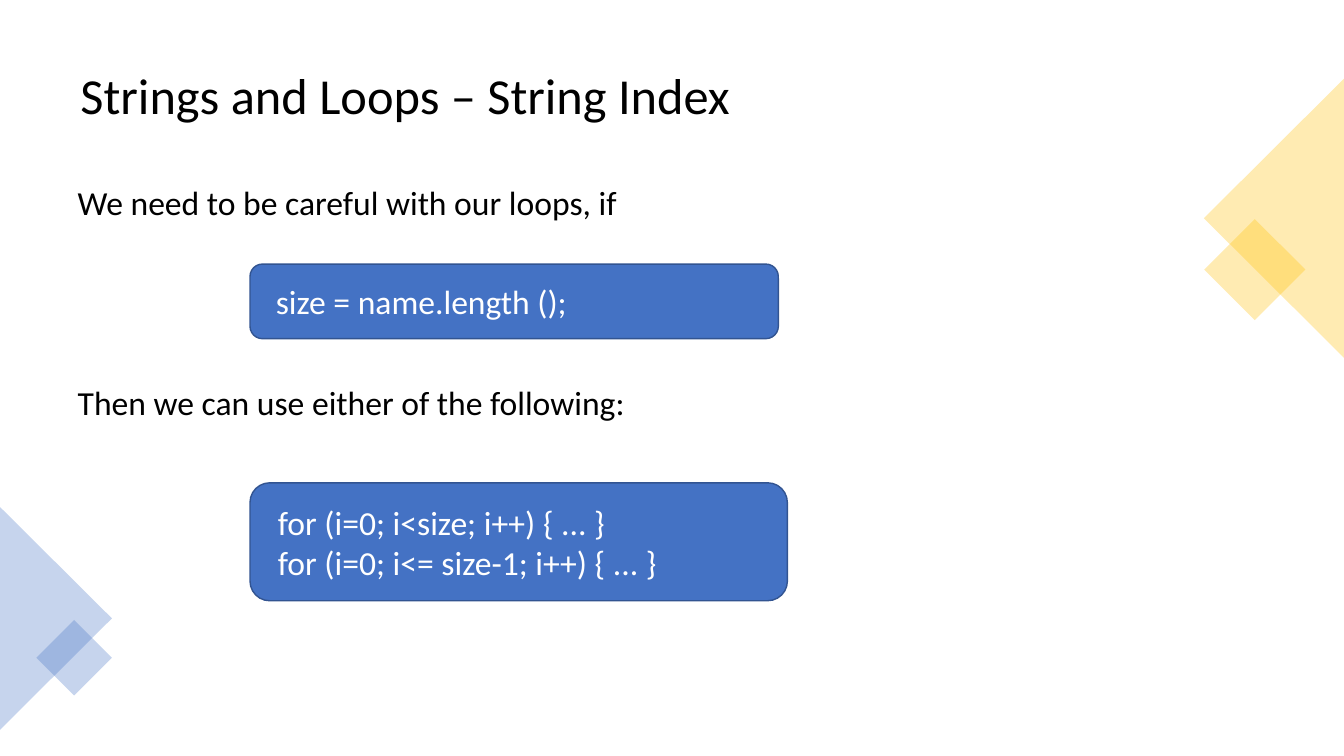
from dataclasses import dataclass

from lxml import etree
from pptx import Presentation
from pptx.dml.color import RGBColor
from pptx.enum import shapes, text
from pptx.oxml.ns import qn
from pptx.util import Inches, Pt

FONT = "Calibri"
BLACK, WHITE = "000000", "FFFFFF"
BLUE, BLUE_EDGE, GOLD = "4472C4", "325491", "FFC000"
INDENT = 0.12
SHAPE = shapes.MSO_SHAPE
ANCHOR = text.MSO_ANCHOR


@dataclass
class Box:
    """Left, top, width and height in inches."""
    left: float
    top: float
    width: float
    height: float

    def emu(self) -> tuple:
        """Return the four lengths for python-pptx."""
        return tuple(Inches(v) for v in (self.left, self.top, self.width, self.height))


@dataclass
class Decoration:
    """A translucent, rotated corner shape."""
    kind: int
    box: Box
    angle: float
    color: str


@dataclass
class CodeBlock:
    """A rounded box holding lines of code."""
    box: Box
    lines: list


def rgb(value: str) -> RGBColor:
    """Turn a hex string into a colour."""
    return RGBColor.from_string(value)


def write(tf, lines: list, size: float, color: str, anchor, indent: float = 0,
          gap: float = 0, spacing: float = 1.0) -> None:
    """Fill a text frame with left-aligned paragraphs, gap points apart."""
    tf.word_wrap = True
    tf.vertical_anchor = anchor
    tf.margin_left = Inches(0.1 + indent)
    for i, line in enumerate(lines):
        p = tf.add_paragraph() if i else tf.paragraphs[0]
        p.alignment = text.PP_ALIGN.LEFT
        p.line_spacing = spacing
        p.space_before = Pt(gap if i else 0)
        r = p.add_run()
        r.text = line
        r.font.name = FONT
        r.font.size = Pt(size)
        r.font.color.rgb = rgb(color)


def add_filled(s, kind: int, box: Box, color: str):
    """Add a shadowless preset shape with a solid fill."""
    sp = s.shapes.add_shape(kind, *box.emu())
    sp.shadow.inherit = False
    sp.fill.solid()
    sp.fill.fore_color.rgb = rgb(color)
    return sp


def add_decoration(s, item: Decoration) -> None:
    """Draw a corner shape at 30 % opacity."""
    sp = add_filled(s, item.kind, item.box, item.color)
    sp.rotation = item.angle
    sp.line.fill.background()
    fill = sp._element.spPr.find(qn("a:solidFill"))
    etree.SubElement(fill[0], qn("a:alpha"), val="30000")


def add_code(s, block: CodeBlock) -> None:
    """Draw a code block."""
    sp = add_filled(s, SHAPE.ROUNDED_RECTANGLE, block.box, BLUE)
    sp.line.color.rgb = rgb(BLUE_EDGE)
    sp.line.width = Pt(1)
    write(sp.text_frame, block.lines, 24, WHITE, ANCHOR.MIDDLE, INDENT)


DECORATIONS = [
    Decoration(SHAPE.RECTANGLE, Box(12.09, 2.32, 0.71, 0.71), 45, GOLD),
    Decoration(SHAPE.ISOSCELES_TRIANGLE, Box(11.25, 1.47, 2.77, 1.39), 270, GOLD),
    Decoration(SHAPE.ISOSCELES_TRIANGLE, Box(-0.55, 5.58, 2.21, 1.11), 90, BLUE),
    Decoration(SHAPE.RECTANGLE, Box(0.47, 6.26, 0.53, 0.53), 45, BLUE),
]
CODE_BLOCKS = [
    CodeBlock(Box(2.48, 2.62, 5.24, 0.74), ["size = name.length ();"]),
    CodeBlock(Box(2.48, 4.79, 5.33, 1.17),
              ["for (i=0; i<size; i++) { ... }", "for (i=0; i<= size-1; i++) { ... }"]),
]

prs = Presentation()
prs.slide_width, prs.slide_height = Inches(13.33), Inches(7.5)
s = prs.slides.add_slide(prs.slide_layouts[6])

title = s.shapes.add_textbox(*Box(0.7, 0.35, 11.93, 1.24).emu())
write(title.text_frame, ["Strings and Loops – String Index"], 36, BLACK,
      ANCHOR.MIDDLE, spacing=0.9)

for item in DECORATIONS:
    add_decoration(s, item)

body = s.shapes.add_textbox(*Box(0.55, 1.76, 11.25, 3.33).emu())
write(body.text_frame,
      ["We need to be careful with our loops, if", "Then we can use either of the following:"],
      24, BLACK, ANCHOR.TOP, INDENT, gap=114)

for block in CODE_BLOCKS:
    add_code(s, block)

prs.save("out.pptx")
